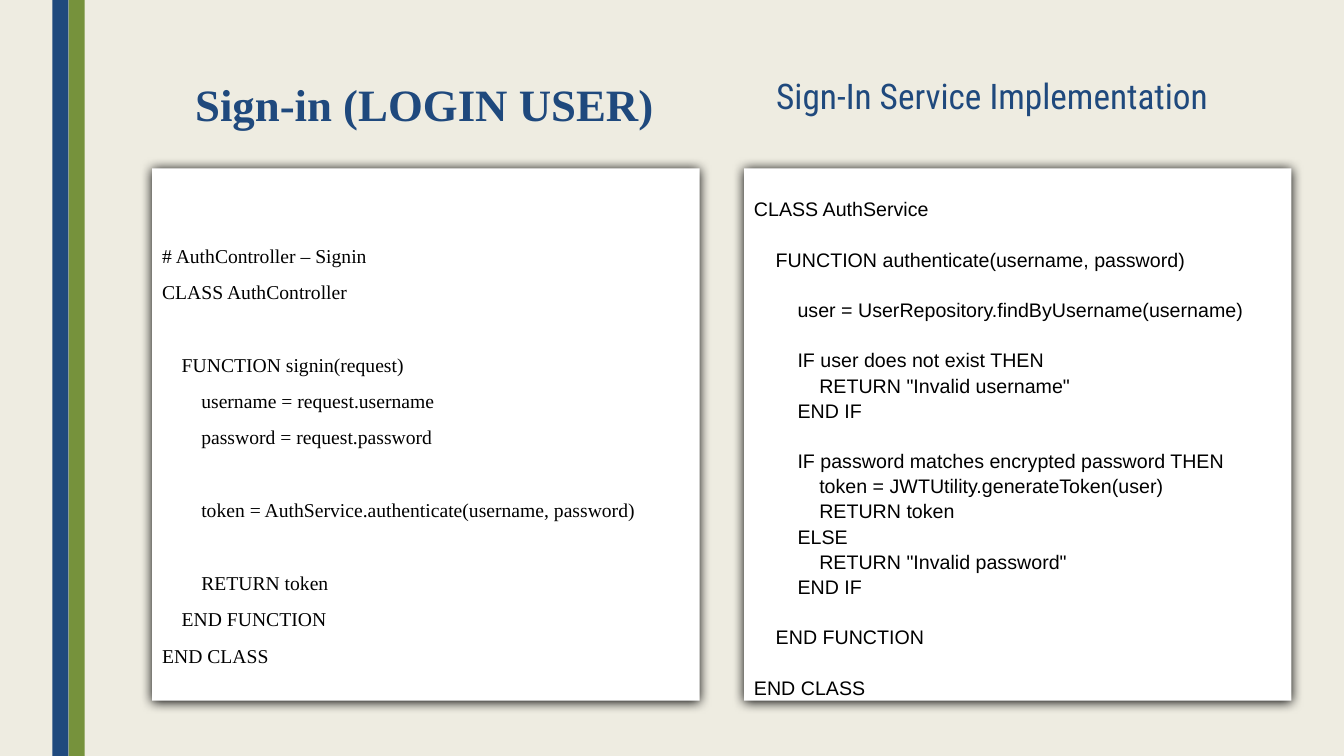
import pptx
import pptx.util
import pptx.dml.color
import pptx.enum.shapes
import pptx.enum.text
import pptx.oxml
from pptx.util import Inches

# Content
CONTROLLER_CODE = """# AuthController – Signin
CLASS AuthController

    FUNCTION signin(request)
        username = request.username
        password = request.password

        token = AuthService.authenticate(username, password)

        RETURN token
    END FUNCTION
END CLASS"""

SERVICE_CODE = """CLASS AuthService

    FUNCTION authenticate(username, password)

        user = UserRepository.findByUsername(username)

        IF user does not exist THEN
            RETURN "Invalid username"
        END IF

        IF password matches encrypted password THEN
            token = JWTUtility.generateToken(user)
            RETURN token
        ELSE
            RETURN "Invalid password"
        END IF

    END FUNCTION

END CLASS"""

NAVY, GREEN, CREAM, WHITE, BLACK = "1F497D", "76923C", "EEECE1", "FFFFFF", "000000"
SERIF = "Times New Roman"
LEFT, CENTER = pptx.enum.text.PP_ALIGN.LEFT, pptx.enum.text.PP_ALIGN.CENTER

# left, width, colour
STRIPES = [(0.68, 0.16, GREEN), (0.52, 0.16, NAVY)]
# code, font, top inset, space after each line, space before a new block
PANELS = [
    (CONTROLLER_CODE, SERIF, 0.73, 8, 26),
    (SERVICE_CODE, "Arial", 0.27, 0, 18),
]
# text, box, top inset, font, size, bold, alignment, line spacing
TITLES = [
    ("Sign-In Service Implementation", (7.6, 0.74, 5.55, 0.93), 0.05,
     "Roboto Condensed", 25.2, False, LEFT, 0.89),
    ("Sign-in (LOGIN USER)", (1.4, 0.54, 5.62, 1.5), 0.26,
     SERIF, 32, True, CENTER, 0.94),
]
PANEL_LEFT, PANEL_TOP, PANEL_STEP = 1.51, 1.67, 5.87
PANEL_WIDTH, PANEL_HEIGHT = 5.43, 5.28
SHADOW = (
    '<a:effectLst xmlns:a="http://schemas.openxmlformats.org/drawingml/2006/main">'
    '<a:outerShdw blurRad="107950" dist="12700" dir="5400000" algn="ctr" rotWithShape="0">'
    '<a:srgbClr val="000000"/></a:outerShdw></a:effectLst>'
)


def color(value):
    return pptx.dml.color.RGBColor.from_string(value)


def add_rectangle(slide, box, fill):
    shape = slide.shapes.add_shape(
        pptx.enum.shapes.MSO_SHAPE.RECTANGLE, *map(Inches, box))
    shape.shadow.inherit = False
    shape.fill.solid()
    shape.fill.fore_color.rgb = color(fill)
    shape.line.fill.background()
    return shape


def prepare_frame(shape, top_inset):
    frame = shape.text_frame
    frame.word_wrap = True
    frame.vertical_anchor = pptx.enum.text.MSO_ANCHOR.TOP
    frame.margin_top = Inches(top_inset)
    return frame


def format_paragraph(paragraph, font, size, fill, alignment, line_spacing, bold=False):
    paragraph.alignment = alignment
    paragraph.line_spacing = line_spacing
    for run in paragraph.runs:
        run.font.name = font
        run.font.size = pptx.util.Pt(size)
        run.font.bold = bold
        run.font.color.rgb = color(fill)


def add_code_panel(slide, left, code, font, top_inset, space_after, block_gap):
    shape = add_rectangle(slide, (left, PANEL_TOP, PANEL_WIDTH, PANEL_HEIGHT), WHITE)
    properties = shape.element.spPr
    properties.remove(properties.find(pptx.oxml.ns.qn("a:effectLst")))
    properties.append(pptx.oxml.parse_xml(SHADOW))
    frame = prepare_frame(shape, top_inset)
    blocks = [block.split("\n") for block in code.split("\n\n")]
    frame.text = "\n".join(line for block in blocks for line in block)
    block_starts = {sum(map(len, blocks[:count])) for count in range(1, len(blocks))}
    for index, paragraph in enumerate(frame.paragraphs):
        format_paragraph(paragraph, font, 14, BLACK, LEFT, 1.07)
        paragraph.space_after = pptx.util.Pt(space_after)
        if index in block_starts:
            paragraph.space_before = pptx.util.Pt(block_gap)


def main():
    presentation = pptx.Presentation()
    presentation.slide_width = Inches(13.33)
    presentation.slide_height = Inches(7.5)
    slide = presentation.slides.add_slide(presentation.slide_layouts[6])
    slide.background.fill.solid()
    slide.background.fill.fore_color.rgb = color(CREAM)

    # Side stripes
    for left, width, fill in STRIPES:
        add_rectangle(slide, (left, 0, width, 7.5), fill)

    # Code panels
    for index, panel in enumerate(PANELS):
        add_code_panel(slide, PANEL_LEFT + index * PANEL_STEP, *panel)

    # Titles
    for text, box, top_inset, font, size, bold, alignment, line_spacing in TITLES:
        frame = prepare_frame(slide.shapes.add_textbox(*map(Inches, box)), top_inset)
        frame.text = text
        format_paragraph(frame.paragraphs[0], font, size, NAVY, alignment,
                         line_spacing, bold)

    presentation.save("out.pptx")


if __name__ == "__main__":
    main()
